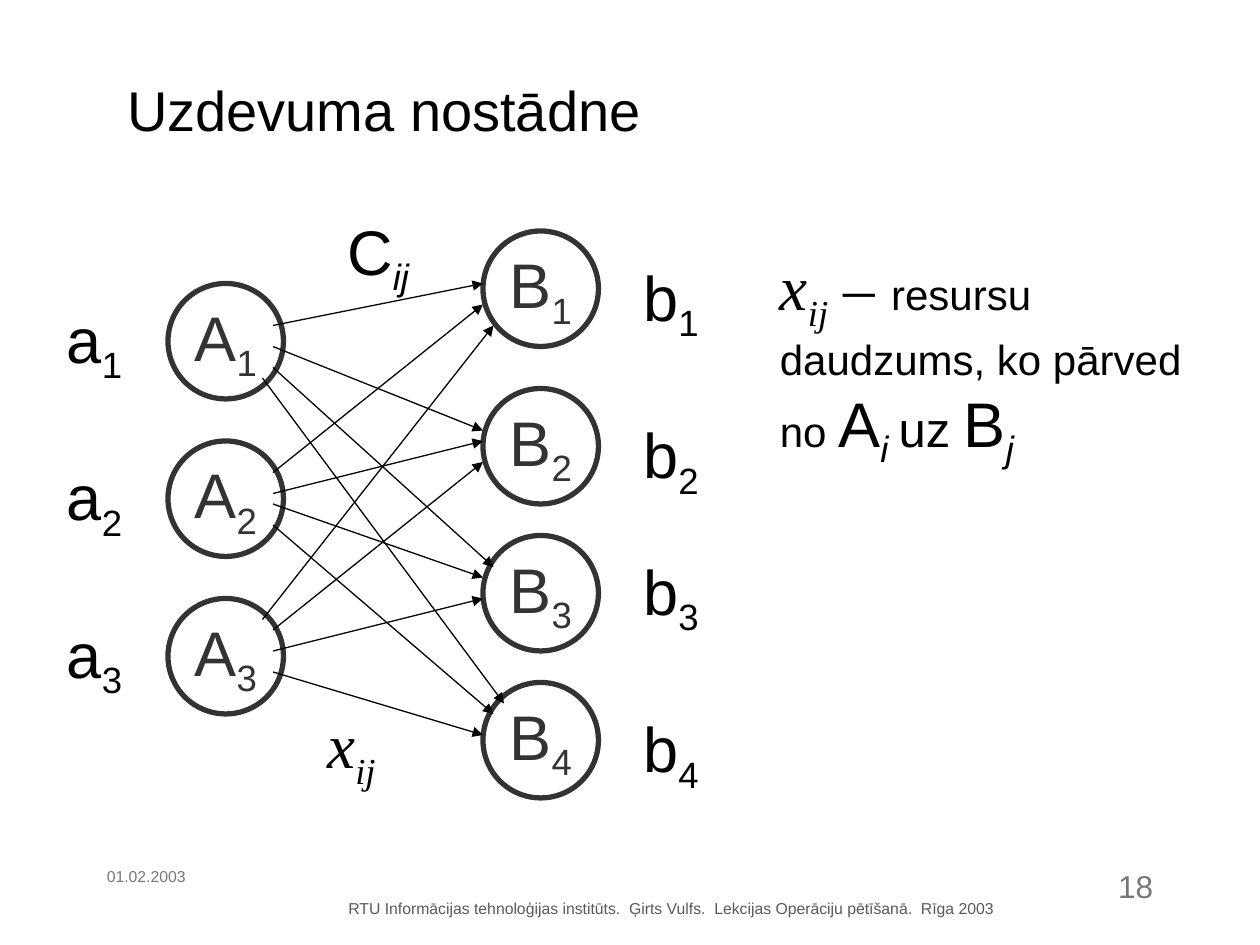
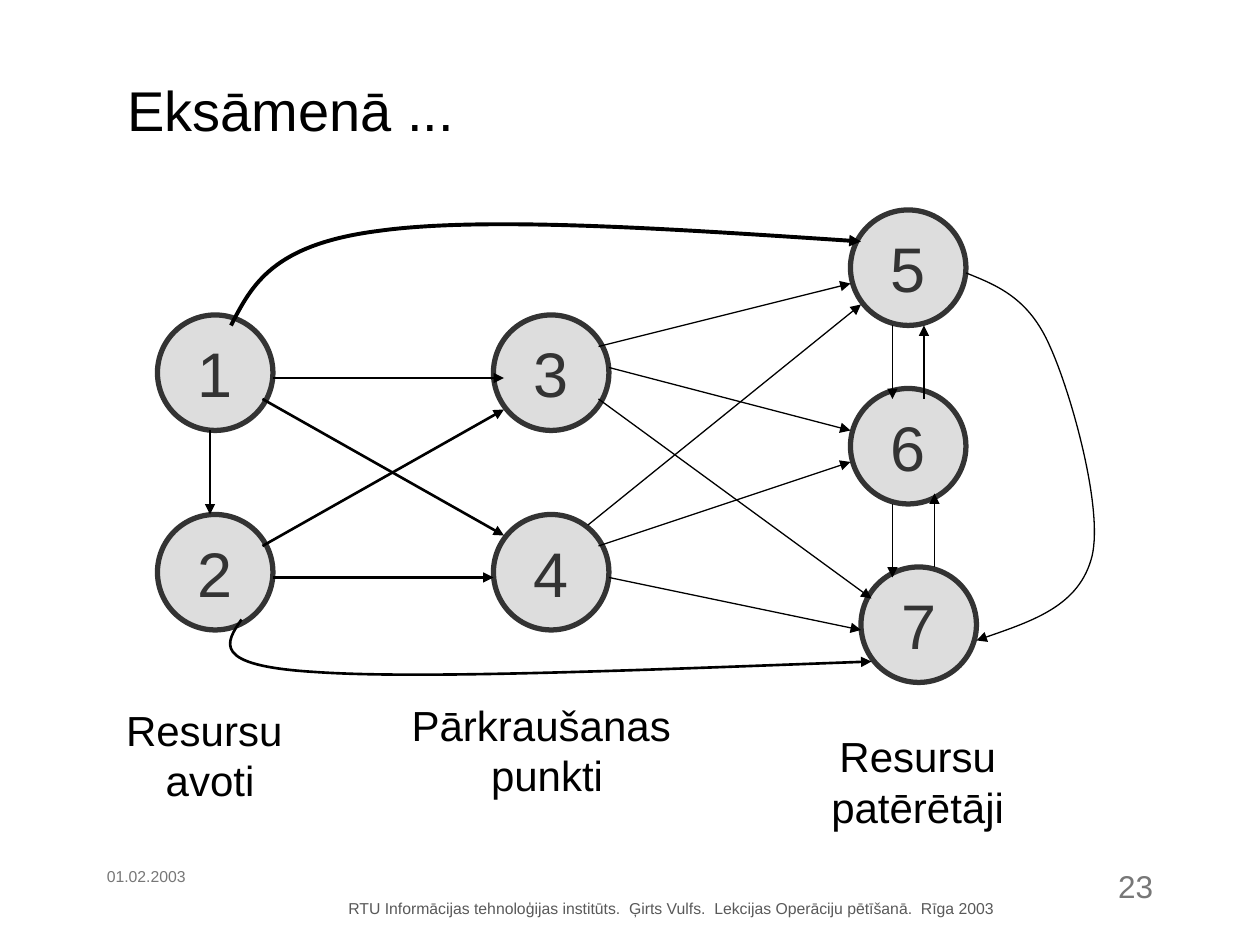
import dataclasses
import typing

import lxml.etree
import pptx
import pptx.dml.color
import pptx.enum.shapes
import pptx.enum.text
import pptx.oxml.ns
import pptx.util

PX = 7620
ALIGN = pptx.enum.text.PP_ALIGN
ANCHOR = pptx.enum.text.MSO_ANCHOR
NODE_SIZE = 110
FOOTER = "RTU Informācijas tehnoloģijas institūts.  Ģirts Vulfs.  Lekcijas Operāciju pētīšanā.  Rīga 2003"
DATE = "01.02.2003"


class Box(typing.NamedTuple):
    """A region in px on the slide."""

    left: int
    top: int
    width: int
    height: int

    def inner(self, left, top, width, height):
        """Return a box placed relative to this one."""
        return Box(self.left + left, self.top + top, width, height)

    def emu(self):
        """Return the box in EMU."""
        return [value * PX for value in self]


@dataclasses.dataclass(frozen=True)
class Theme:
    """Colours, fonts and type sizes shared by the slides."""

    sans: str = "Arial"
    serif: str = "Times New Roman"
    ink: str = "000000"
    node_ink: str = "333333"
    muted: str = "777777"
    footer_ink: str = "595959"
    white: str = "FFFFFF"
    node_grey: str = "DDDDDD"
    title: int = 32
    symbol: int = 36
    body: int = 24
    linking: int = 28
    number: int = 18
    small: int = 9
    thin: float = 0.75
    medium: float = 1.5
    thick: float = 2.25
    node_line: int = 3


THEME = Theme()


def style(size, color=THEME.ink, name=THEME.sans, italic=False):
    """Return the font format values of one text style."""
    return {"size": pptx.util.Pt(size), "name": name, "italic": italic, "bold": False, "color": color}


STYLES = {
    "title": style(THEME.title),
    "symbol": style(THEME.symbol),
    "index": style(THEME.symbol, italic=True),
    "variable": style(THEME.symbol, name=THEME.serif, italic=True),
    "node": style(THEME.symbol, THEME.node_ink),
    "body": style(THEME.body),
    "linking": style(THEME.linking),
    "number": style(THEME.number, THEME.muted),
    "date": style(THEME.small, THEME.muted),
    "footer": style(THEME.small, THEME.footer_ink),
}


def rgb(color):
    """Turn a hex string into a colour."""
    return pptx.dml.color.RGBColor.from_string(color)


def apply(target, formats):
    """Set each format value on the target."""
    for name, value in formats.items():
        if name == "color":
            target.color.rgb = rgb(value)
        else:
            setattr(target, name, value)


def write(frame, lines, align=ALIGN.LEFT, anchor=ANCHOR.TOP, wrap=False):
    """Fill a frame with lines of (text, style[, is_subscript]) runs."""
    apply(frame, {
        "word_wrap": wrap,
        "auto_size": pptx.enum.text.MSO_AUTO_SIZE.NONE,
        "vertical_anchor": anchor,
        "margin_left": 12 * PX, "margin_right": 12 * PX,
        "margin_top": 6 * PX, "margin_bottom": 6 * PX,
    })
    for number, runs in enumerate(lines):
        paragraph = frame.add_paragraph() if number else frame.paragraphs[0]
        paragraph.alignment = align
        for text, style_name, *subscript in runs:
            run = paragraph.add_run()
            run.text = text
            apply(run.font, STYLES[style_name])
            if subscript:
                run._r.get_or_add_rPr().set("baseline", "-25000")


def add_text(slide, box, lines, **options):
    """Add a text box."""
    write(slide.shapes.add_textbox(*box.emu()).text_frame, lines, **options)


def indexed(letter, index, letter_style="symbol", index_style=None):
    """Return the runs of a letter with a subscript."""
    return [(letter, letter_style), (index, index_style or letter_style, True)]


def add_node(slide, region, left, top, runs, fill):
    """Add a labelled circle."""
    box = region.inner(left, top, NODE_SIZE, NODE_SIZE)
    node = slide.shapes.add_shape(pptx.enum.shapes.MSO_SHAPE.OVAL, *box.emu())
    node.shadow.inherit = False
    node.fill.solid()
    node.fill.fore_color.rgb = rgb(fill)
    apply(node.line, {"color": THEME.node_ink, "width": pptx.util.Pt(THEME.node_line)})
    write(node.text_frame, [runs], align=ALIGN.CENTER, anchor=ANCHOR.MIDDLE)


def format_arrow(line, width):
    """Colour a line and give it an arrowhead."""
    apply(line, {"color": THEME.ink, "width": pptx.util.Pt(width)})
    lxml.etree.SubElement(line._get_or_add_ln(), pptx.oxml.ns.qn("a:tailEnd"), type="triangle")


def add_arrows(slide, region, arrows, width):
    """Add straight arrows given by their ends in the region."""
    for from_x, from_y, to_x, to_y in arrows:
        start = region.inner(from_x, from_y, 0, 0).emu()[:2]
        end = region.inner(to_x, to_y, 0, 0).emu()[:2]
        arrow = slide.shapes.add_connector(pptx.enum.shapes.MSO_CONNECTOR.STRAIGHT, *start, *end)
        format_arrow(arrow.line, width)
        lxml.etree.SubElement(arrow._element.spPr, pptx.oxml.ns.qn("a:effectLst"))


def add_curve(slide, region, points, width):
    """Add a curved arrow from a start point and triples of Bezier points."""
    qn = pptx.oxml.ns.qn
    builder = slide.shapes.build_freeform(*points[0], scale=PX)
    builder.add_line_segments(points[1:], close=False)
    curve = builder.convert_to_shape(*region.emu()[:2])
    segments = curve._element.findall(".//" + qn("a:lnTo"))
    for first in range(0, len(segments), 3):
        bezier, *others = segments[first:first + 3]
        bezier.tag = qn("a:cubicBezTo")
        for other in others:
            bezier.append(other[0])
            other.getparent().remove(other)
    curve.shadow.inherit = False
    curve.fill.background()
    format_arrow(curve.line, width)


def add_base_slide(presentation, title, title_width, number):
    """Add a slide with title, date, footer and number."""
    slide = presentation.slides.add_slide(presentation.slide_layouts[5])
    box = Box(109, 66, title_width, 77).emu()
    apply(slide.shapes.title, dict(zip(("left", "top", "width", "height"), box)))
    write(slide.shapes.title.text_frame, [[(title, "title")]])
    add_text(slide, Box(320, 850, 640, 30), [[(FOOTER, "footer")]])
    add_text(slide, Box(970, 820, 140, 60), [[(number, "number")]], align=ALIGN.RIGHT, wrap=True)
    add_text(slide, Box(90, 820, 230, 60), [[(DATE, "date")]], wrap=True)
    return slide


def draw_transport_network(slide, region):
    """Draw suppliers A and consumers B with their quantities."""
    supplier_tops = [80 + 150 * row for row in range(3)]
    consumer_tops = [30, 180, 320, 460]
    consumer_label_tops = [50, 200, 330, 480]
    columns = [("A", 110, supplier_tops), ("B", 410, consumer_tops)]
    for letter, left, tops in columns:
        for index, top in enumerate(tops, 1):
            add_node(slide, region, left, top, indexed(letter, str(index), "node"), THEME.white)
    add_arrows(slide, region, [
        (200, 170, 430, 480), (210, 160, 420, 350), (210, 140, 410, 220), (210, 120, 410, 80),
        (210, 260, 410, 100), (210, 280, 410, 230), (210, 290, 410, 360), (210, 310, 420, 490),
        (200, 400, 420, 120), (210, 410, 410, 250), (210, 430, 410, 380), (210, 450, 410, 510),
    ], THEME.thin)
    labels = [("a", 2, [top + 10 for top in supplier_tops]), ("b", 551, consumer_label_tops)]
    for letter, left, tops in labels:
        for index, top in enumerate(tops, 1):
            add_text(slide, region.inner(left, top, 77, 95), [indexed(letter, str(index))])
    add_text(slide, region.inner(269, 6, 83, 95), [indexed("C", "ij", index_style="index")])
    add_text(slide, region.inner(250, 476, 70, 95), [indexed("x", "ij", "variable")])


def write_definition(slide, region):
    """Explain the transported quantity."""
    STYLES["dash"] = STYLES["variable"]
    add_text(slide, region, [
        [*indexed("x", "ij", "variable"), (" – ", "dash"), ("resursu", "body")],
        [("daudzums, ko pārved", "body")],
        [("no ", "body"), *indexed("A", "i ", index_style="index"), ("uz ", "linking"),
         *indexed("B", "j", index_style="index")],
    ])


def draw_transshipment_network(slide, region):
    """Draw sources, transshipment points and consumers."""
    nodes = [(50, 100), (50, 290), (370, 100), (370, 290), (710, 0), (710, 170), (720, 340)]
    for number, (left, top) in enumerate(nodes, 1):
        add_node(slide, region, left, top, [(str(number), "node")], THEME.node_grey)
    add_arrows(slide, region, [
        (160, 160, 380, 160), (160, 350, 370, 350), (150, 180, 380, 310),
        (150, 320, 380, 190), (100, 210, 100, 290),
    ], THEME.medium)
    add_arrows(slide, region, [
        (470, 130, 710, 70), (480, 150, 710, 210), (470, 180, 730, 370),
        (460, 300, 720, 90), (470, 320, 710, 240), (480, 350, 720, 400),
        (750, 110, 750, 180), (750, 280, 750, 350), (790, 340, 790, 270), (780, 180, 780, 110),
    ], THEME.thin)
    curves = [
        (THEME.thick, [(120, 110), (140, 71), (160, 33), (260, 20), (360, 6), (540, 18), (720, 30)]),
        (THEME.thin, [(820, 60), (850, 72), (880, 84), (900, 130), (920, 174), (951, 284),
                      (940, 330), (928, 377), (879, 393), (830, 410)]),
        (THEME.medium, [(130, 390), (115, 412), (100, 434), (200, 440), (300, 447), (514, 438), (730, 430)]),
    ]
    for width, points in curves:
        add_curve(slide, region, points, width)
    captions = [
        (8, 465, 184, ("Resursu ", "avoti")),
        (280, 460, 282, ("Pārkraušanas ", "punkti")),
        (680, 490, 188, ("Resursu", "patērētāji")),
    ]
    for left, top, width, lines in captions:
        add_text(slide, region.inner(left, top, width, 108),
                 [[(line, "body")] for line in lines], align=ALIGN.CENTER)


def main():
    """Build and save the presentation."""
    presentation = pptx.Presentation()
    apply(presentation, {"slide_width": 1200 * PX, "slide_height": 900 * PX})
    statement = add_base_slide(presentation, "Uzdevuma nostādne", 514, "18")
    draw_transport_network(statement, Box(50, 190, 630, 580))
    write_definition(statement, Box(731, 230, 418, 368))
    exam = add_base_slide(presentation, "Eksāmenā ...", 350, "23")
    draw_transshipment_network(exam, Box(100, 200, 960, 600))
    presentation.save("out.pptx")


if __name__ == "__main__":
    main()
